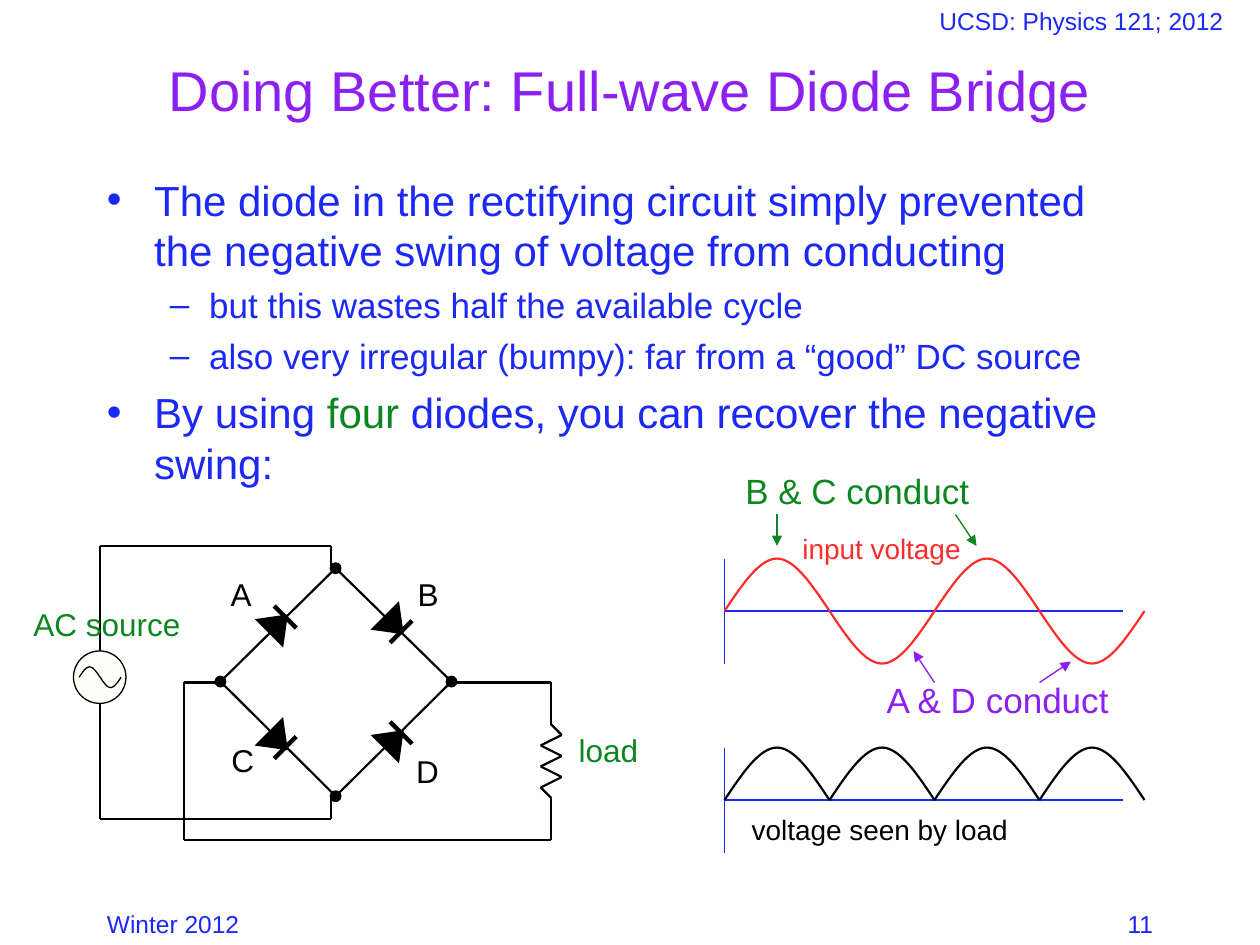
from dataclasses import dataclass
from itertools import pairwise

from lxml.etree import SubElement
from pptx import Presentation
from pptx.dml.color import RGBColor
from pptx.enum.shapes import MSO_CONNECTOR, MSO_SHAPE
from pptx.enum.text import MSO_ANCHOR, MSO_AUTO_SIZE, PP_ALIGN
from pptx.oxml.ns import qn
from pptx.util import Pt


@dataclass(frozen=True)
class Theme:
    font: str = "Arial"
    blue: str = "1B28F6"
    purple: str = "8C20F2"
    green: str = "0B871F"
    red: str = "FF2C2C"
    black: str = "000000"
    cream: str = "FFFFF7"
    title: int = 32
    body: int = 24
    sub: int = 20
    label: int = 18
    note: int = 16
    foot: int = 14
    thin: float = 0.75
    wire: float = 1.25
    bold: float = 2.5


class Board:
    """Holds the theme and the current slide; all lengths are in points."""

    def __init__(self, slide, theme):
        self.slide = slide
        self.shapes = slide.shapes
        self.theme = theme

    def style(self, para, size, color):
        for run in para.runs:
            run.font.name = self.theme.font
            run.font.size = Pt(size)
            run.font.color.rgb = RGBColor.from_string(color)

    def stroke(self, line, color, width):
        line.color.rgb = RGBColor.from_string(color)
        line.width = Pt(width)

    def title(self, text, x, y, w, h):
        box = self.shapes.title
        box.left, box.top, box.width, box.height = map(Pt, (x, y, w, h))
        frame = box.text_frame
        frame.text = text
        frame.vertical_anchor = MSO_ANCHOR.MIDDLE
        frame.paragraphs[0].alignment = PP_ALIGN.CENTER
        self.style(frame.paragraphs[0], self.theme.title, self.theme.purple)

    def text(self, text, x, y, w, h, size, color, align=PP_ALIGN.LEFT, wrap=False):
        frame = self.shapes.add_textbox(Pt(x), Pt(y), Pt(w), Pt(h)).text_frame
        frame.text = text
        frame.word_wrap = wrap
        if not wrap:
            frame.auto_size = MSO_AUTO_SIZE.SHAPE_TO_FIT_TEXT
        frame.paragraphs[0].alignment = align
        self.style(frame.paragraphs[0], size, color)

    def bullets(self, items, x, y, w, h):
        """Each item is a level and its pieces of text, with a colour for each."""
        theme = self.theme
        levels = [("•", theme.body, 27, 27, 6), ("–", theme.sub, 58.5, 22.5, 5)]
        frame = self.shapes.add_textbox(Pt(x), Pt(y), Pt(w), Pt(h)).text_frame
        frame.word_wrap = True
        for i, (level, parts) in enumerate(items):
            mark, size, left, hang, gap = levels[level]
            para = frame.paragraphs[0] if i == 0 else frame.add_paragraph()
            para.level = level
            para.space_before = Pt(gap)
            for words, color in parts:
                run = para.add_run()
                run.text = words
            self.style(para, size, theme.blue)
            for run, (words, color) in zip(para.runs, parts):
                run.font.color.rgb = RGBColor.from_string(color)
            props = para._p.get_or_add_pPr()
            props.set("marL", str(Pt(left)))
            props.set("indent", str(-Pt(hang)))
            tint = SubElement(props, qn("a:buClr"))
            SubElement(tint, qn("a:srgbClr"), val=theme.blue)
            SubElement(props, qn("a:buFont"), typeface=theme.font)
            SubElement(props, qn("a:buChar"), char=mark)

    def line(self, start, end, color, width, arrow=False):
        link = self.shapes.add_connector(
            MSO_CONNECTOR.STRAIGHT, *map(Pt, (*start, *end)))
        self.stroke(link.line, color, width)
        if arrow:
            SubElement(link.line._get_or_add_ln(), qn("a:tailEnd"), type="triangle")
        SubElement(link._element.spPr, qn("a:effectLst"))

    def wire(self, *points):
        for start, end in pairwise(points):
            self.line(start, end, self.theme.black, self.theme.wire)

    def shape(self, kind, mid, w, h, fill, width, turn=0):
        x, y = mid
        item = self.shapes.add_shape(
            kind, Pt(x - w / 2), Pt(y - h / 2), Pt(w), Pt(h))
        item.shadow.inherit = False
        item.rotation = turn
        item.fill.solid()
        item.fill.fore_color.rgb = RGBColor.from_string(fill)
        self.stroke(item.line, self.theme.black, width)
        SubElement(item.line._get_or_add_ln(), qn("a:miter"), lim="800000")

    def diode(self, mid, side):
        """Points right and up for side -1, right and down for side 1."""
        theme = self.theme
        self.shape(MSO_SHAPE.ISOSCELES_TRIANGLE, mid, 18, 12, theme.black,
                   theme.bold, 90 + 45 * side)
        x, y = mid[0] + 4.2, mid[1] + 4.2 * side
        half = 6.3
        self.line((x - half, y + half * side), (x + half, y - half * side),
                  theme.black, theme.bold)

    def curve(self, x, y, span, rises, color, width):
        """One half wave for each rise; a negative rise hangs below the axis."""
        bends = [(1, 0.5), (2, 1), (3, 1), (4, 1), (5, 0.5), (6, 0)]
        points = [(Pt(x + span * (i + step / 6)), Pt(y - rise * part))
                  for i, rise in enumerate(rises) for step, part in bends]
        pen = self.shapes.build_freeform(Pt(x), Pt(y), scale=1.0)
        pen.add_line_segments(points, close=False)
        item = pen.convert_to_shape()
        item.shadow.inherit = False
        item.fill.background()
        self.stroke(item.line, color, width)
        # Every three straight steps become the handles and end of one Bezier.
        steps = list(item._element.iter(qn("a:lnTo")))
        track = steps[0].getparent()
        for i in range(0, len(steps), 3):
            bend = SubElement(track, qn("a:cubicBezTo"))
            for step in steps[i:i + 3]:
                bend.append(step[0])
                track.remove(step)

    def graph(self, y, signs, color):
        theme = self.theme
        x, span, rise = 414, 60, 30
        self.line((x, y - rise), (x, y + rise), theme.blue, theme.thin)
        self.line((x, y), (642, y), theme.blue, theme.thin)
        for i, sign in enumerate(signs):
            self.curve(x + i * span, y, span, [rise * sign], color, theme.wire)


def words(board):
    theme = board.theme
    blue, green = theme.blue, theme.green
    board.text("Winter 2012", 54, 516, 150, 36, theme.foot, blue, wrap=True)
    board.text("UCSD: Physics 121; 2012", 504, 0, 228, 36, theme.foot, blue,
               PP_ALIGN.CENTER, True)
    board.text("11", 516, 516, 150, 36, theme.foot, blue, PP_ALIGN.RIGHT, True)
    board.title("Doing Better: Full-wave Diode Bridge", 54, 6, 612, 90)
    board.bullets([
        (0, [("The diode in the rectifying circuit simply prevented the negative "
              "swing of voltage from conducting", blue)]),
        (1, [("but this wastes half the available cycle", blue)]),
        (1, [("also very irregular (bumpy): far from a “good” DC source", blue)]),
        (0, [("By using ", blue), ("four", green),
             (" diodes, you can recover the negative swing:", blue)]),
    ], 54, 96, 612, 396)


def circuit(board):
    theme = board.theme
    top, right, low, left = (191.8, 324.7), (258, 389.5), (191.8, 455), (126, 389.5)
    board.shape(MSO_SHAPE.OVAL, (57, 387), 30, 30, theme.cream, theme.thin)
    board.curve(45.2, 387, 12, [6, -6], theme.black, theme.thin)
    board.wire(top, right, low, left, top)
    for x in (158.8, 225):
        for y in (356.8, 423):
            board.diode((x, y), -1 if (x < 200) == (y < 400) else 1)
    for node in (top, right, low, left):
        board.shape(MSO_SHAPE.OVAL, node, 6, 6, theme.black, theme.thin)
    board.wire((189, 324), (189, 312), (57, 312), (57, 372))
    board.wire((57, 402), (57, 468), (189, 468), (189, 456))
    zigzag = [(315 + 6 * (-1) ** i, 420 + 6 * i) for i in range(6)]
    board.wire((261, 390), (315, 390), (315, 414), *zigzag, (315, 456),
               (315, 480), (105, 480), (105, 390), (123, 390))
    for name, x, y in (("A", 122.5, 325.2), ("B", 229.5, 325.2),
                       ("C", 123.5, 420), ("D", 229, 426)):
        board.text(name, x, y, 30.5, 29, theme.label, theme.black, PP_ALIGN.CENTER)
    board.text("AC source", 12, 342, 104, 29, theme.label, theme.green)
    board.text("load", 323.5, 414, 54, 29, theme.label, theme.green)


def waves(board):
    theme = board.theme
    board.graph(349.2, (1, -1, 1, -1), theme.red)
    board.graph(457.2, (1, 1, 1, 1), theme.black)
    board.text("input voltage", 448.5, 300, 110.5, 27, theme.note, theme.red,
               PP_ALIGN.CENTER)
    board.text("voltage seen by load", 419.5, 461, 166.5, 27, theme.note,
               theme.black, PP_ALIGN.CENTER)
    board.text("B & C conduct", 418.8, 265, 148, 32, theme.sub, theme.green)
    board.text("A & D conduct", 499.5, 384, 148, 32, theme.sub, theme.purple)
    for start, end, color in (((444, 294), (444, 312), theme.green),
                              ((546, 294), (558, 312), theme.green),
                              ((534, 390), (522, 372), theme.purple),
                              ((594, 390), (612, 378), theme.purple)):
        board.line(start, end, color, theme.thin, arrow=True)


def main():
    deck = Presentation()
    deck.slide_width, deck.slide_height = Pt(720), Pt(540)
    board = Board(deck.slides.add_slide(deck.slide_layouts[5]), Theme())
    words(board)
    circuit(board)
    waves(board)
    deck.save("out.pptx")


if __name__ == "__main__":
    main()
